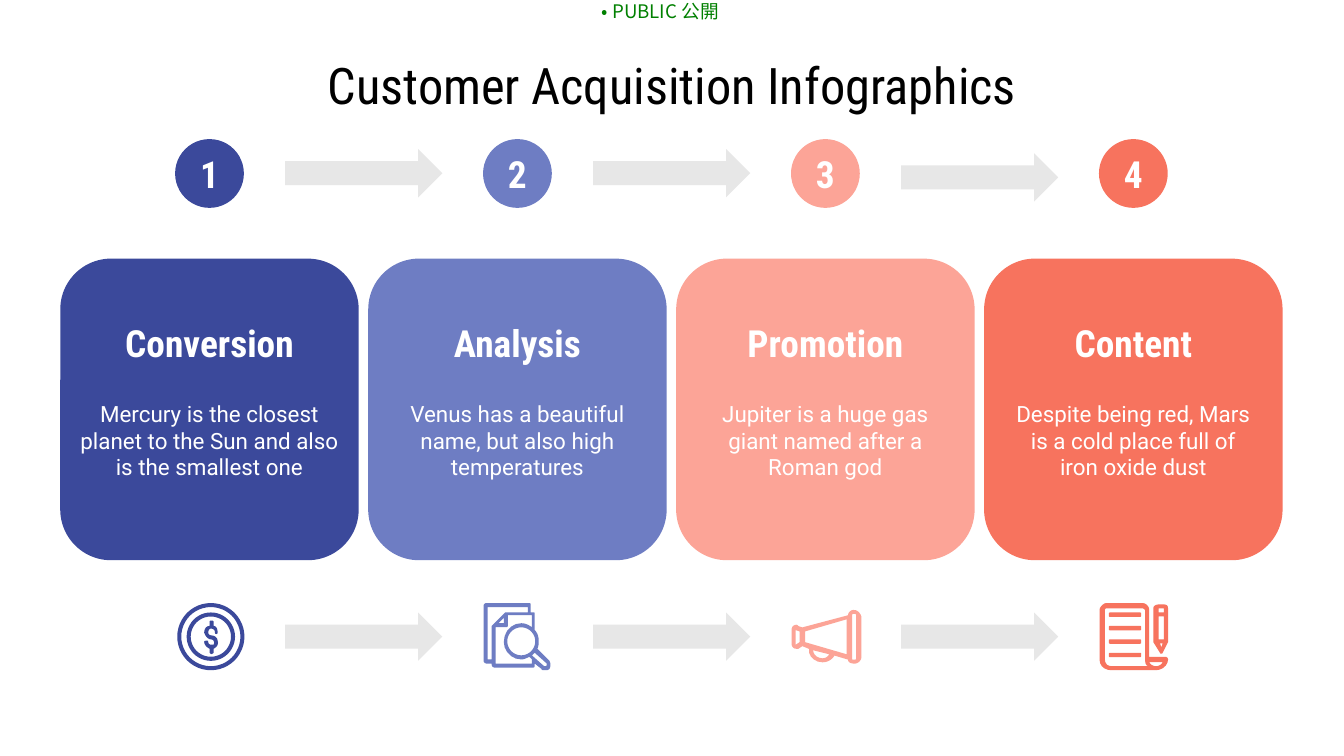
"""Build the customer acquisition infographic slide."""
from dataclasses import dataclass
from math import cos, pi, sin

from lxml import etree
from pptx import Presentation
from pptx.dml.color import RGBColor
from pptx.enum.shapes import MSO_SHAPE
from pptx.enum.text import MSO_ANCHOR, PP_ALIGN
from pptx.oxml.ns import qn
from pptx.util import Cm, Pt

ROUND_RECT = MSO_SHAPE.ROUNDED_RECTANGLE
OVAL = MSO_SHAPE.OVAL
RIGHT_ARROW = MSO_SHAPE.RIGHT_ARROW
MIDDLE = MSO_ANCHOR.MIDDLE
TOP = MSO_ANCHOR.TOP
CENTER = PP_ALIGN.CENTER

Point = tuple[float, float]
Contour = list[Point]


@dataclass(frozen=True)
class Style:
    font: str
    size: int
    color: str
    bold: bool = False


@dataclass(frozen=True)
class Theme:
    arrow: str = "E7E7E7"
    label: Style = Style("Noto Sans CJK JP", 10, "008000")
    title: Style = Style("Roboto Condensed", 27, "000000")
    heading: Style = Style("Roboto Condensed", 20, "FFFFFF", True)
    body: Style = Style("Roboto", 12, "FFFFFF")


@dataclass(frozen=True)
class Box:
    left: float
    top: float
    width: float
    height: float

    def emu(self) -> tuple[Cm, Cm, Cm, Cm]:
        return Cm(self.left), Cm(self.top), Cm(self.width), Cm(self.height)


@dataclass(frozen=True)
class Icon:
    left: float
    top: float
    pieces: list[list[Contour]]


@dataclass(frozen=True)
class Step:
    heading: str
    body: str
    color: str
    icon: Icon
    body_width: float = 5.08


THEME = Theme()
LEFT, PITCH, CARD_W = 1.14, 5.82, 5.64
ICON_UNIT = 2.54 / 100
ARROW_LEFT, ARROW_W, ARROW_H = 5.39, 2.97, 0.91
TOP_ARROWS = (2.82, 2.82, 2.9)
BOTTOM_ARROWS = (11.58,) * 3


def outline(*segments: tuple[float, ...]) -> Contour:
    """Flatten a start point followed by lines (2 numbers) and cubics (6 numbers)."""
    points: Contour = []
    for seg in segments:
        if len(seg) == 2:
            points.append((seg[0], seg[1]))
            continue
        (x0, y0), (x1, y1, x2, y2, x3, y3) = points[-1], seg
        for t in (0.2, 0.4, 0.6, 0.8, 1):
            a, b, c, d = (1 - t) ** 3, 3 * t * (1 - t) ** 2, 3 * t * t * (1 - t), t ** 3
            points.append((a * x0 + b * x1 + c * x2 + d * x3, a * y0 + b * y1 + c * y2 + d * y3))
    return points


def circle(cx: float, cy: float, radius: float) -> Contour:
    """Return a circle as 48 points."""
    angles = (2 * pi * i / 48 for i in range(48))
    return [(cx + radius * cos(a), cy + radius * sin(a)) for a in angles]


def pill_bar(x: float, y: float, w: float, h: float) -> Contour:
    """Return a bar with softly rounded corners."""
    r = min(w, h) / 2
    return outline((x + r, y), (x + w - r, y), (x + w, y, x + w, y, x + w, y + r),
                   (x + w, y + h - r), (x + w, y + h, x + w, y + h, x + w - r, y + h),
                   (x + r, y + h), (x, y + h, x, y + h, x, y + h - r),
                   (x, y + r), (x, y, x, y, x + r, y))


DOLLAR = outline(
    (27, 13), (27, 13, 26, 13, 26, 14), (26, 17), (23, 17, 22, 20, 22, 22), (23, 25, 25, 27, 27, 27),
    (29, 27, 30, 29, 29, 31), (28, 31, 28, 31, 27, 31), (26, 31, 25, 30, 25, 29), (25, 28, 25, 28, 24, 28),
    (23, 28, 22, 28, 22, 29), (22, 31, 24, 33, 26, 34), (26, 37), (26, 37, 27, 38, 27, 38),
    (28, 38, 29, 37, 29, 37), (29, 34), (31, 33, 33, 31, 32, 28), (32, 26, 30, 24, 27, 24),
    (26, 24, 25, 23, 25, 22), (25, 20, 26, 19, 27, 19), (29, 19, 30, 20, 30, 22), (30, 22, 30, 23, 31, 23),
    (32, 23, 32, 22, 32, 22), (32, 19, 31, 17, 29, 17), (29, 14), (29, 13, 28, 13, 27, 13))
COIN = [[circle(27, 25, 25), circle(27, 25, 22)], [circle(27, 25, 18), circle(27, 25, 15)], [DOLLAR]]

SEARCH = [[
    outline((2, 0), (1, 0, 0, 1, 0, 2), (0, 43), (0, 44, 1, 45, 2, 45), (6, 45), (6, 46), (6, 47, 7, 48, 8, 48),
            (37, 48), (38, 48, 38, 47, 38, 46), (38, 45), (43, 49), (43, 50, 44, 50, 46, 50),
            (47, 50, 48, 50, 49, 49), (50, 47, 50, 45, 49, 43), (40, 34), (41, 32, 41, 30, 41, 28),
            (41, 25, 40, 22, 38, 20), (38, 8), (38, 7, 38, 7, 37, 7), (35, 7), (35, 2), (35, 1, 35, 0, 34, 0)),
    outline((15, 11), (15, 15), (11, 15)),
    circle(28, 28.5, 10.4),
    outline((33, 3), (33, 7), (17, 7), (16, 7), (7, 16), (6, 17), (6, 42), (3, 42), (3, 3)),
    outline((36, 9), (36, 18), (33, 16, 31, 15, 28, 15), (21, 15, 15, 21, 15, 29), (15, 36, 21, 42, 28, 42),
            (30, 42, 32, 41, 34, 40), (36, 42), (36, 45), (9, 45), (9, 18), (17, 18),
            (17, 18, 18, 18, 18, 17), (18, 9)),
    outline((38, 37), (47, 45), (47, 46, 47, 47, 46, 47), (45, 47), (36, 39))]]

MEGAPHONE = [[
    outline((46, 0), (44, 0, 42, 2, 42, 4), (8, 13), (5, 12), (4, 11), (1, 11, 0, 13, 0, 15), (0, 25),
            (0, 27, 1, 29, 4, 29), (5, 29), (8, 27), (13, 29), (12, 34, 17, 39, 23, 39),
            (27, 39, 30, 37, 32, 34), (42, 37), (42, 39, 44, 40, 47, 40), (49, 40, 52, 38, 52, 35),
            (52, 5), (51, 2, 49, 0, 46, 0)),
    outline((3, 15), (6, 16), (6, 24), (3, 26)),
    outline((41, 7), (41, 33), (10, 24), (10, 16)),
    outline((16, 30), (28, 33), (27, 35, 25, 36, 23, 36), (19, 36, 16, 33, 16, 30)),
    pill_bar(45, 3, 3, 34)]]

SHEET = [
    outline((5, 0), (3, 0, 0, 3, 0, 5), (0, 42), (0, 47, 4, 50, 9, 50), (42, 50), (47, 50, 51, 46, 51, 42),
            (51, 41, 50, 40, 49, 40), (37, 40), (37, 5), (37, 3, 35, 0, 32, 0)),
    outline((32, 4), (33, 4, 34, 5, 34, 6), (34, 42), (34, 44, 34, 46, 36, 47), (9, 47),
            (6, 47, 4, 45, 4, 42), (4, 6), (4, 5, 4, 4, 5, 4)),
    outline((47, 44), (46, 46, 44, 47, 42, 47), (40, 47, 38, 46, 37, 44))]
PENCIL = [
    outline((44, 1), (42, 1, 40, 2, 40, 4), (40, 29), (45, 37), (45, 38, 47, 38, 47, 37), (51, 29), (51, 4),
            (51, 2, 50, 1, 48, 1)),
    outline((44, 4), (48, 4), (48, 7), (44, 7)),
    outline((44, 10), (48, 10), (48, 27), (44, 27)),
    outline((45, 30), (47, 30), (46, 33))]
DOCUMENT = [SHEET, *([pill_bar(7, y, 24, 3.3)] for y in (7, 17, 27, 37)), PENCIL]

STEPS = [
    Step("Conversion", "Mercury is the closest planet to the Sun and also is the smallest one", "3B499B",
         Icon(3.3, 11.4, COIN), 5.44),
    Step("Analysis", "Venus has a beautiful name, but also high temperatures", "6E7DC3",
         Icon(9.14, 11.4, SEARCH)),
    Step("Promotion", "Jupiter is a huge gas giant named after a Roman god", "FCA497",
         Icon(14.96, 11.53, MEGAPHONE)),
    Step("Content", "Despite being red, Mars is a cold place full of iron oxide dust", "F7735E",
         Icon(20.78, 11.4, DOCUMENT)),
]


def write(sp, text: str, style: Style, inset: float = 0.25, anchor=MIDDLE) -> None:
    """Put one centred, styled paragraph into a shape."""
    tf = sp.text_frame
    tf.word_wrap, tf.vertical_anchor = True, anchor
    tf.margin_left = tf.margin_right = tf.margin_top = tf.margin_bottom = Cm(inset)
    tf.text = text
    p = tf.paragraphs[0]
    p.alignment = CENTER
    font = p.runs[0].font
    font.name, font.size, font.bold = style.font, Pt(style.size), style.bold
    font.color.rgb = RGBColor.from_string(style.color)
    latin = p.runs[0]._r.rPr.find(qn("a:latin"))
    latin.addnext(etree.Element(qn("a:ea"), typeface=style.font))


def paint(sp, color: str) -> None:
    """Give a shape a plain fill without line or shadow."""
    sp.shadow.inherit = False
    sp.fill.solid()
    sp.fill.fore_color.rgb = RGBColor.from_string(color)
    sp.line.fill.background()


def add_shape(shapes, kind, box: Box, color: str):
    """Add a plain preset shape."""
    sp = shapes.add_shape(kind, *box.emu())
    paint(sp, color)
    return sp


def add_text(shapes, box: Box, text: str, style: Style, inset: float = 0.25, anchor=MIDDLE) -> None:
    """Add a text box."""
    write(shapes.add_textbox(*box.emu()), text, style, inset, anchor)


def add_card(s, index: int, step: Step) -> None:
    """Add a numbered card as one group."""
    shapes = s.shapes.add_group_shape().shapes
    left = LEFT + index * PITCH

    def centred(top: float, width: float, height: float) -> Box:
        return Box(left + (CARD_W - width) / 2, top, width, height)

    card = add_shape(shapes, ROUND_RECT, centred(4.89, CARD_W, 5.7), step.color)
    card.adjustments[0] = 0.17
    add_text(shapes, centred(5.61, 4.6, 1.73), step.heading, THEME.heading)
    add_text(shapes, centred(7.34, step.body_width, 1.96), step.body, THEME.body)
    write(add_shape(shapes, OVAL, centred(2.63, 1.3, 1.3), step.color), str(index + 1), THEME.heading)


def add_icon(s, icon: Icon, color: str) -> None:
    """Add an icon, grouping it when it has several pieces."""
    shapes = s.shapes.add_group_shape().shapes if len(icon.pieces) > 1 else s.shapes
    for piece in icon.pieces:
        contours = [[(Cm(icon.left + x * ICON_UNIT), Cm(icon.top + y * ICON_UNIT)) for x, y in c] for c in piece]
        builder = shapes.build_freeform(*contours[0][0])
        builder.add_line_segments(contours[0][1:], close=True)
        for contour in contours[1:]:
            builder.move_to(*contour[0])
            builder.add_line_segments(contour[1:], close=True)
        paint(builder.convert_to_shape(), color)


def main() -> None:
    """Build and save the slide."""
    prs = Presentation()
    prs.slide_width, prs.slide_height = Cm(25.4), Cm(14.29)
    s = prs.slides.add_slide(prs.slide_layouts[6])
    add_text(s.shapes, Box(11.35, 0, 2.26, 0.43), "• PUBLIC 公開", THEME.label, 0, TOP)
    add_text(s.shapes, Box(1.25, 1.14, 22.9, 0.91), "Customer Acquisition Infographics", THEME.title)
    for i, step in enumerate(STEPS):
        add_card(s, i, step)
        add_icon(s, step.icon, step.color)
    for tops in (TOP_ARROWS, BOTTOM_ARROWS):
        for i, top in enumerate(tops):
            add_shape(s.shapes, RIGHT_ARROW, Box(ARROW_LEFT + i * PITCH, top, ARROW_W, ARROW_H), THEME.arrow)
    prs.save("out.pptx")


if __name__ == "__main__":
    main()
